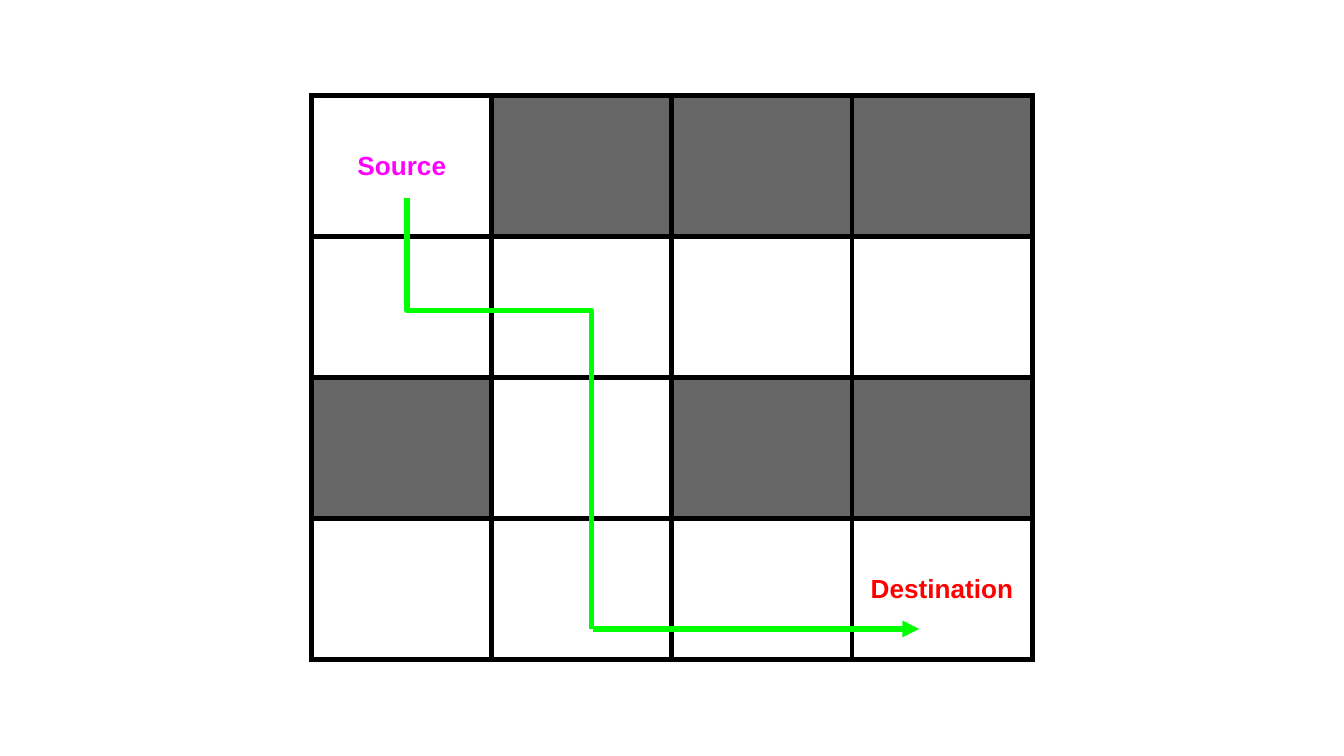
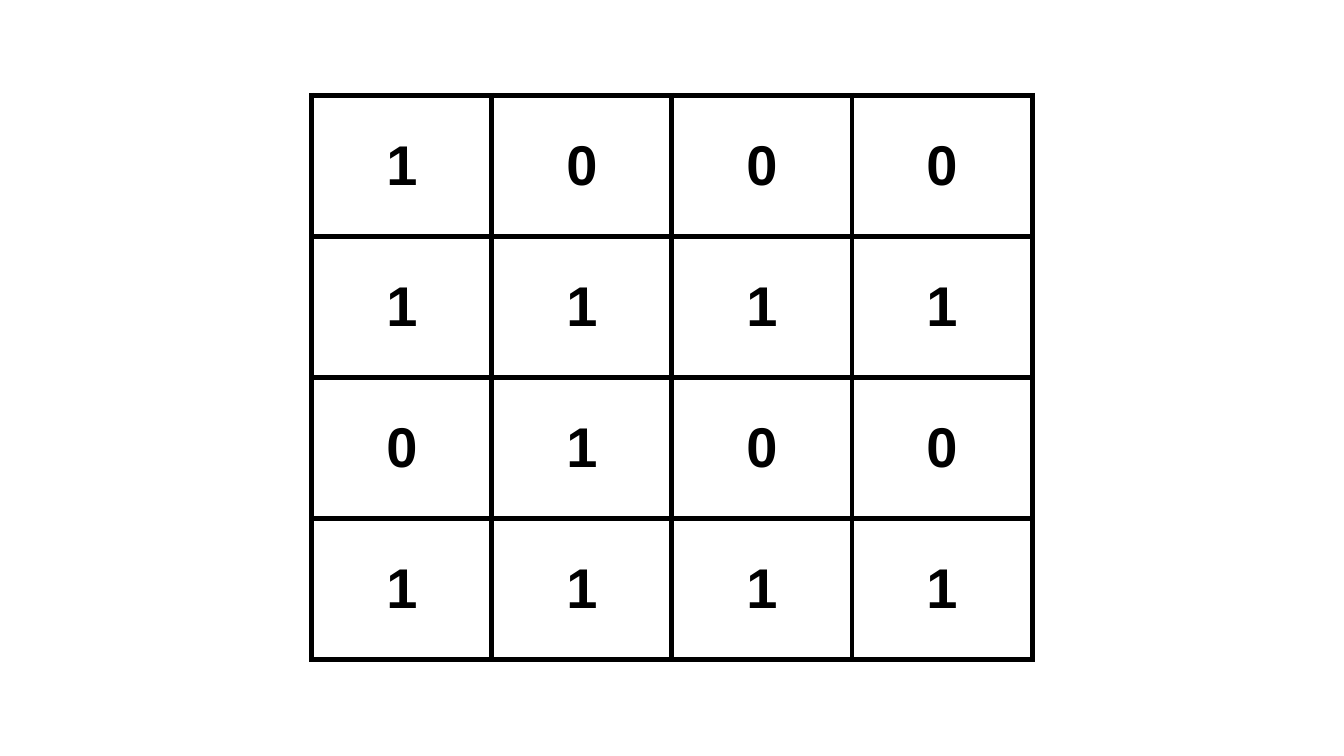
"""Build two slides: a path through a 4 x 4 maze, and the maze as a binary matrix."""
from lxml.etree import SubElement
from pptx import Presentation
from pptx.dml.color import RGBColor
from pptx.enum.shapes import MSO_CONNECTOR
from pptx.enum.text import MSO_ANCHOR, PP_ALIGN
from pptx.oxml.ns import qn
from pptx.util import Inches, Pt

BLACK = RGBColor(0x00, 0x00, 0x00)
WHITE = RGBColor(0xFF, 0xFF, 0xFF)
WALL = RGBColor(0x66, 0x66, 0x66)
PATH = RGBColor(0x00, 0xFF, 0x00)
SOURCE = RGBColor(0xFF, 0x00, 0xFF)
DESTINATION = RGBColor(0xFF, 0x00, 0x00)

MAZE = ["1000", "1111", "0100", "1111"]
LABELS = {(0, 0): ("Source", SOURCE), (3, 3): ("Destination", DESTINATION)}
COLUMN_WIDTH, ROW_HEIGHT = Inches(1.34), Inches(1.05)
STROKE = Pt(3)


def add_grid(slide, texts, fills, size):
    count = len(MAZE)
    grid = slide.shapes.add_table(
        count, count, Inches(2.32), Inches(0.71),
        COLUMN_WIDTH * count, ROW_HEIGHT * count,
    ).table
    grid.first_row = grid.horz_banding = False
    for r in range(count):
        grid.rows[r].height = ROW_HEIGHT
        grid.columns[r].width = COLUMN_WIDTH
        for c in range(count):
            cell = grid.cell(r, c)
            cell.margin_left = cell.margin_right = Inches(0.1)
            cell.margin_top = cell.margin_bottom = Inches(0.1)
            cell.vertical_anchor = MSO_ANCHOR.MIDDLE
            properties = cell._tc.get_or_add_tcPr()
            for side in ("a:lnL", "a:lnR", "a:lnT", "a:lnB"):
                border = SubElement(properties, qn(side), w=str(int(STROKE)))
                solid = SubElement(border, qn("a:solidFill"))
                SubElement(solid, qn("a:srgbClr"), val=str(BLACK))
            cell.fill.solid()
            cell.fill.fore_color.rgb = fills[MAZE[r][c]]
            if (r, c) in texts:
                cell.text, color = texts[r, c]
                paragraph = cell.text_frame.paragraphs[0]
                paragraph.alignment = PP_ALIGN.CENTER
                paragraph.font.name = "Arial"
                paragraph.font.size = size
                paragraph.font.bold = True
                paragraph.font.color.rgb = color


def add_path(slide, kind, x1, y1, x2, y2):
    segment = slide.shapes.add_connector(
        kind, Inches(x1), Inches(y1), Inches(x2), Inches(y2))
    segment.line.color.rgb = PATH
    segment.line.width = STROKE
    SubElement(segment._element.spPr, qn("a:effectLst"))
    return segment


prs = Presentation()
prs.slide_width = Inches(10)
prs.slide_height = prs.slide_width * 9 // 16
blank = prs.slide_layouts[6]

maze_slide = prs.slides.add_slide(blank)
add_grid(maze_slide, LABELS, {"1": WHITE, "0": WALL}, Pt(14))

descent = add_path(maze_slide, MSO_CONNECTOR.ELBOW, 5.32, 2.39, 2.11, 3.76)
outline = descent._element.spPr
outline.find(qn("a:xfrm")).set("rot", str(270 * 60000))
adjustments = outline.find(qn("a:prstGeom")).find(qn("a:avLst"))
SubElement(adjustments, qn("a:gd"), name="adj1", fmla="val 26200")

arrival = add_path(maze_slide, MSO_CONNECTOR.STRAIGHT, 4.41, 4.68, 6.84, 4.68)
SubElement(arrival.line._get_or_add_ln(), qn("a:tailEnd"), type="triangle")

matrix_slide = prs.slides.add_slide(blank)
digits = {(r, c): (digit, BLACK)
          for r, row in enumerate(MAZE) for c, digit in enumerate(row)}
add_grid(matrix_slide, digits, {"1": WHITE, "0": WHITE}, Pt(30))

prs.save("out.pptx")
